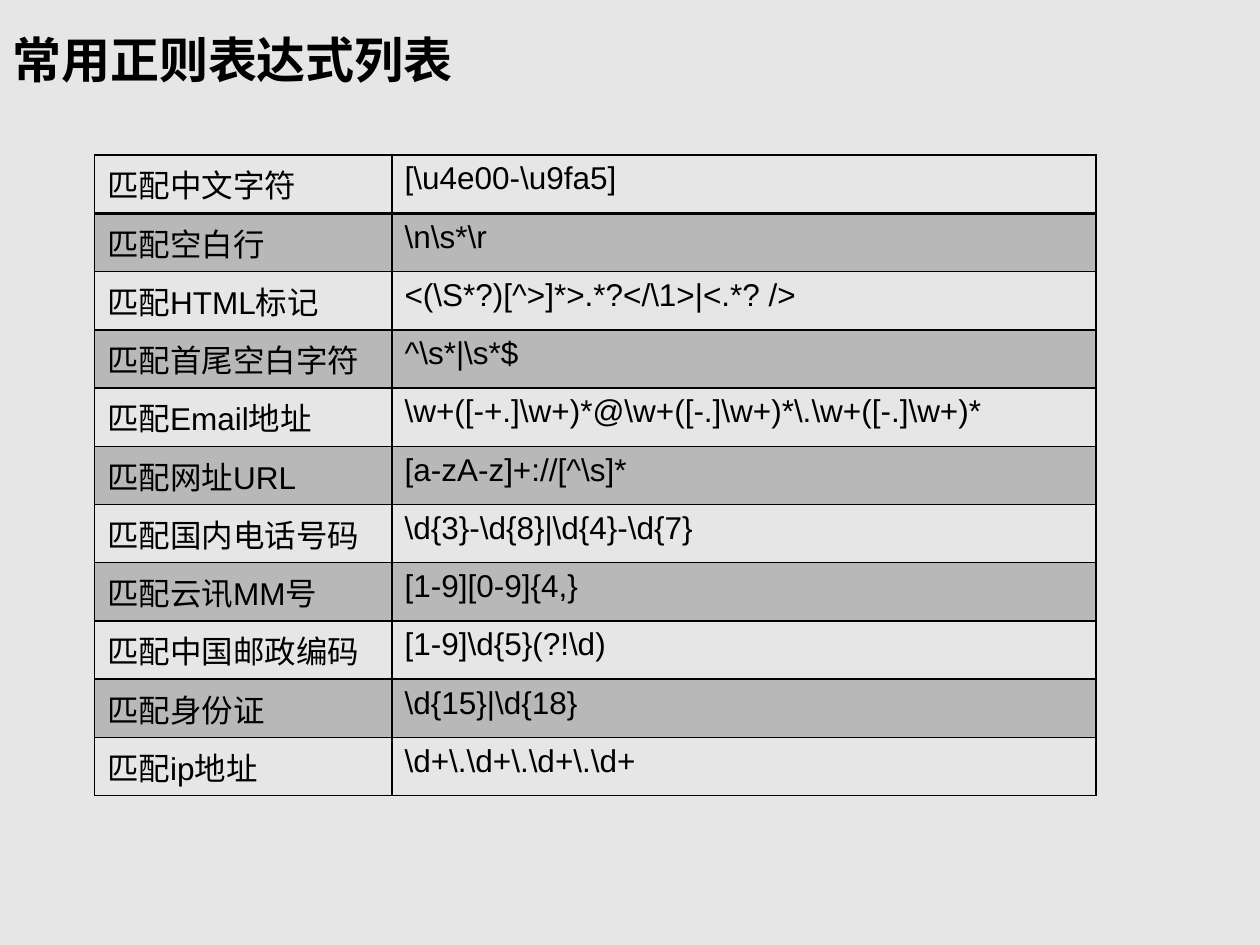
"""Build a slide that lists common regular expressions in a table."""
from dataclasses import dataclass

from lxml.etree import SubElement
from pptx import Presentation
from pptx.dml.color import RGBColor
from pptx.enum.shapes import MSO_SHAPE
from pptx.enum.text import MSO_ANCHOR, PP_ALIGN
from pptx.oxml.ns import qn
from pptx.util import Pt


@dataclass(frozen=True)
class Theme:
    background: str = "E6E6E6"
    ink: str = "000000"
    band_opacity: int = 20
    font: str = "Arial"
    title_size: int = 28
    body_size: int = 18


THEME = Theme()

EXPRESSIONS = [
    ("匹配中文字符", r"[\u4e00-\u9fa5]"),
    ("匹配空白行", r"\n\s*\r"),
    ("匹配HTML标记", r"<(\S*?)[^>]*>.*?</\1>|<.*? />"),
    ("匹配首尾空白字符", r"^\s*|\s*$"),
    ("匹配Email地址", r"\w+([-+.]\w+)*@\w+([-.]\w+)*\.\w+([-.]\w+)*"),
    ("匹配网址URL", r"[a-zA-z]+://[^\s]*"),
    ("匹配国内电话号码", r"\d{3}-\d{8}|\d{4}-\d{7}"),
    ("匹配云讯MM号", r"[1-9][0-9]{4,}"),
    ("匹配中国邮政编码", r"[1-9]\d{5}(?!\d)"),
    ("匹配身份证", r"\d{15}|\d{18}"),
    ("匹配ip地址", r"\d+\.\d+\.\d+\.\d+"),
]
COLUMN_WIDTHS = (170, 402.4)
ROW_HEIGHT = 29.2


def write_text(text_frame, text, *, size, bold=False):
    paragraph = text_frame.paragraphs[0]
    paragraph.alignment = PP_ALIGN.LEFT
    run = paragraph.add_run()
    run.text = text
    run.font.name = THEME.font
    run.font.size = Pt(size)
    run.font.bold = bold
    run.font.color.rgb = RGBColor.from_string(THEME.ink)


def add_title(slide, text):
    shape = slide.shapes.add_shape(MSO_SHAPE.RECTANGLE, Pt(0), Pt(0), Pt(720), Pt(67.5))
    shape.shadow.inherit = False
    shape.fill.solid()
    shape.fill.fore_color.rgb = RGBColor.from_string(THEME.background)
    shape.line.fill.background()
    shape.text_frame.word_wrap = True
    shape.text_frame.vertical_anchor = MSO_ANCHOR.MIDDLE
    write_text(shape.text_frame, text, size=THEME.title_size, bold=True)


def add_color(parent, color):
    solid_fill = SubElement(parent, qn("a:solidFill"))
    return SubElement(solid_fill, qn("a:srgbClr"), val=color)


def draw_borders(cell, widths):
    properties = cell._tc.get_or_add_tcPr()
    for side, width in widths.items():
        line = SubElement(properties, qn(f"a:ln{side}"), w=str(Pt(width)))
        add_color(line, THEME.ink)


def fill_cell(cell, banded):
    if not banded:
        cell.fill.background()
        return
    color = add_color(cell._tc.get_or_add_tcPr(), THEME.ink)
    SubElement(color, qn("a:alpha"), val=str(THEME.band_opacity * 1000))


def add_expression_table(slide, rows):
    frame = slide.shapes.add_table(
        len(rows), len(COLUMN_WIDTHS), Pt(54), Pt(88.6),
        Pt(sum(COLUMN_WIDTHS)), Pt(ROW_HEIGHT * len(rows)),
    )
    table = frame.table
    table.first_row = table.horz_banding = False
    for column, width in zip(table.columns, COLUMN_WIDTHS):
        column.width = Pt(width)
    for row_index, texts in enumerate(rows):
        table.rows[row_index].height = Pt(ROW_HEIGHT)
        top = 2 if row_index == 1 else 1
        bottom = 2 if row_index == 0 else 1
        for column_index, text in enumerate(texts):
            cell = table.cell(row_index, column_index)
            write_text(cell.text_frame, text, size=THEME.body_size)
            draw_borders(cell, {"L": 1, "R": 1, "T": top, "B": bottom})
            fill_cell(cell, banded=row_index % 2 == 1)


def main():
    presentation = Presentation()
    presentation.slide_width, presentation.slide_height = Pt(720), Pt(540)
    slide = presentation.slides.add_slide(presentation.slide_layouts[6])
    slide.background.fill.solid()
    slide.background.fill.fore_color.rgb = RGBColor.from_string(THEME.background)
    add_title(slide, "常用正则表达式列表")
    add_expression_table(slide, EXPRESSIONS)
    presentation.save("out.pptx")


if __name__ == "__main__":
    main()
